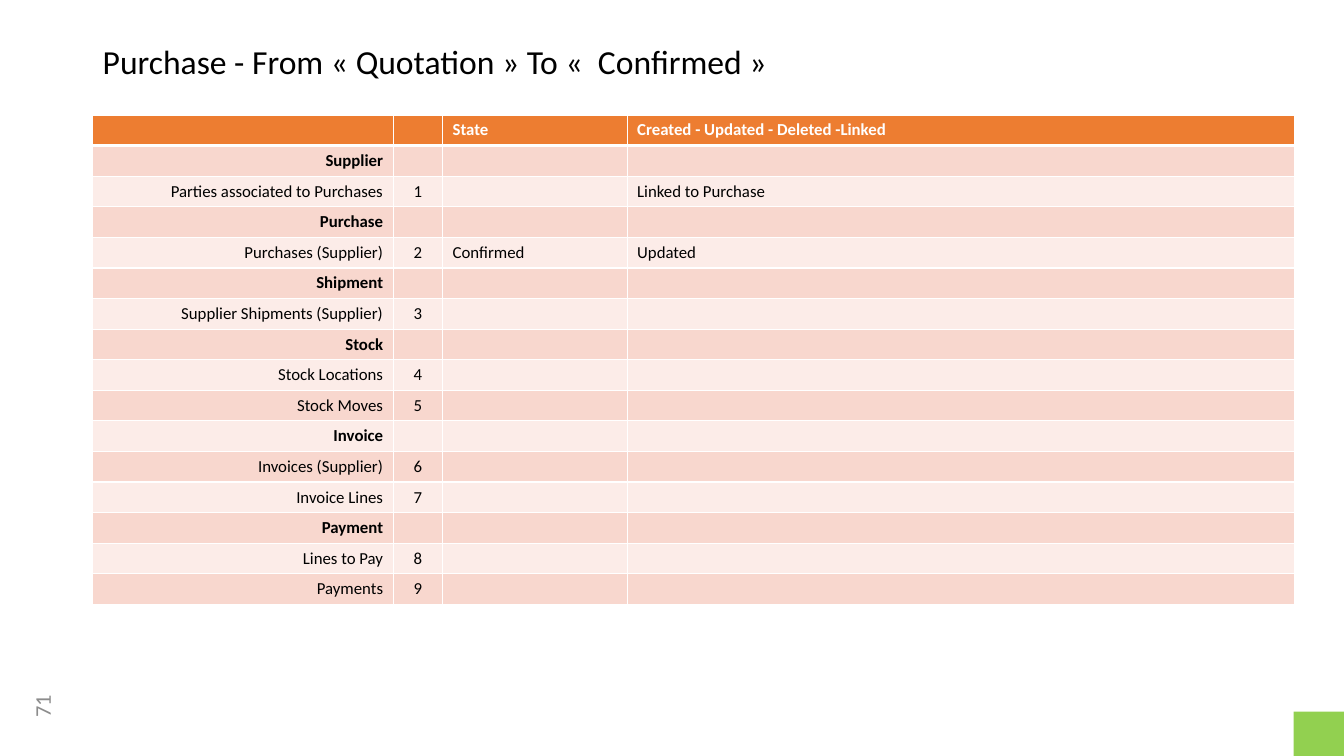
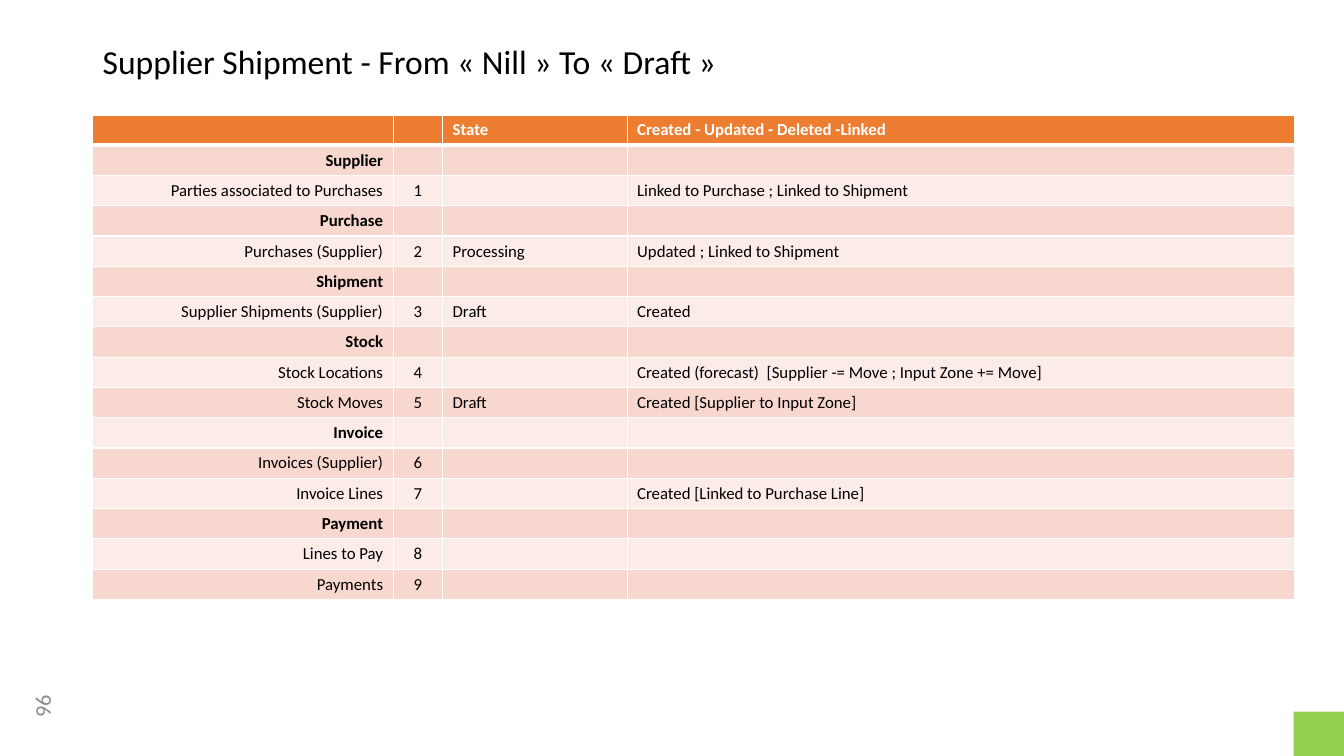
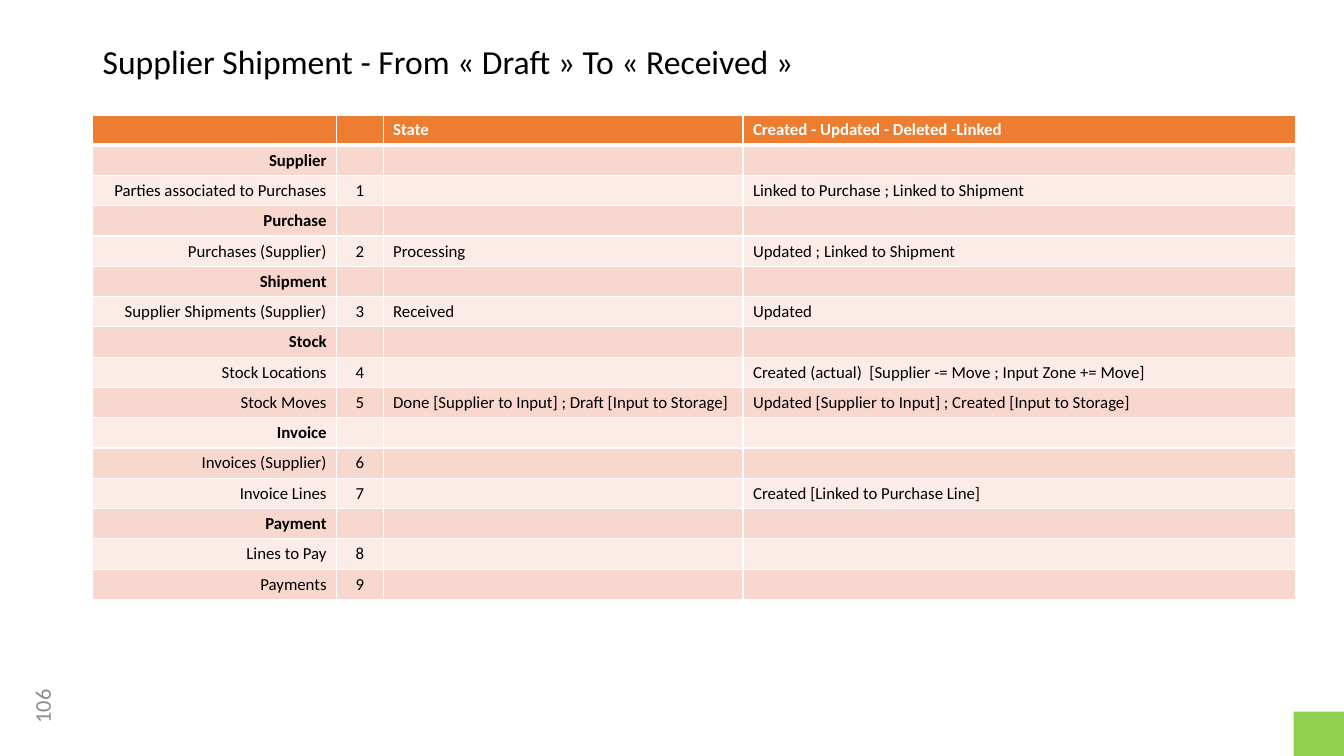
"""Build three slides that trace record states through the supplier flow."""
from dataclasses import dataclass

from lxml import etree
from pptx import Presentation
from pptx.dml.color import RGBColor
from pptx.enum.shapes import MSO_SHAPE
from pptx.enum.text import MSO_ANCHOR, PP_ALIGN
from pptx.oxml.ns import qn
from pptx.util import Inches, Pt

RECT = MSO_SHAPE.RECTANGLE
MIDDLE = MSO_ANCHOR.MIDDLE
LEFT, CENTER, RIGHT = PP_ALIGN.LEFT, PP_ALIGN.CENTER, PP_ALIGN.RIGHT

FONT = "Calibri"
BLACK, WHITE, GREY = "000000", "FFFFFF", "8C8C8C"
ORANGE, GREEN = "ED7D31", "92D050"
BANDS = ("F8D7CE", "FCECE8")
ROW = 0.3
SIZE = 12

HEAD = ("", "", "State", "Created - Updated - Deleted -Linked")
GROUPS = {
    "Supplier": ["Parties associated to Purchases"],
    "Purchase": ["Purchases (Supplier)"],
    "Shipment": ["Supplier Shipments (Supplier)"],
    "Stock": ["Stock Locations", "Stock Moves"],
    "Invoice": ["Invoices (Supplier)", "Invoice Lines"],
    "Payment": ["Lines to Pay", "Payments"],
}
WIDE = (2.98, 0.49, 1.83, 6.62)
EVEN = (2.42, 0.46, 3.57, 5.48)


@dataclass
class Step:
    title: str
    page: int
    widths: tuple[float, ...]
    notes: dict[int, tuple[str, str]]


STEPS = [
    Step("Purchase - From « Quotation » To «  Confirmed »", 71, WIDE, {
        1: ("", "Linked to Purchase"),
        2: ("Confirmed", "Updated"),
    }),
    Step("Supplier Shipment - From « Nill » To « Draft »", 96, WIDE, {
        1: ("", "Linked to Purchase ; Linked to Shipment"),
        2: ("Processing", "Updated ; Linked to Shipment"),
        3: ("Draft", "Created"),
        4: ("", "Created (forecast)  [Supplier -= Move ; Input Zone += Move]"),
        5: ("Draft", "Created [Supplier to Input Zone]"),
        7: ("", "Created [Linked to Purchase Line]"),
    }),
    Step("Supplier Shipment - From « Draft » To « Received »", 106, EVEN, {
        1: ("", "Linked to Purchase ; Linked to Shipment"),
        2: ("Processing", "Updated ; Linked to Shipment"),
        3: ("Received", "Updated"),
        4: ("", "Created (actual)  [Supplier -= Move ; Input Zone += Move]"),
        5: ("Done [Supplier to Input] ; Draft [Input to Storage]",
            "Updated [Supplier to Input] ; Created [Input to Storage]"),
        7: ("", "Created [Linked to Purchase Line]"),
    }),
]


def color(code: str) -> RGBColor:
    return RGBColor.from_string(code)


def write(para, text: str, size: int, ink: str, align=LEFT, bold: bool = False) -> None:
    para.text = text
    para.alignment = align
    font = para.font
    font.name, font.size, font.bold = FONT, Pt(size), bold
    font.color.rgb = color(ink)
    if not text:
        etree.SubElement(para._p, qn("a:endParaRPr"), sz=str(size * 100))


def border(cell, top: int, bottom: int) -> None:
    props = cell._tc.get_or_add_tcPr()
    sides = (("a:lnL", 1), ("a:lnR", 1), ("a:lnT", top), ("a:lnB", bottom))
    for spot, (tag, width) in enumerate(sides):
        line = etree.Element(qn(tag), w=str(Pt(width)))
        fill = etree.SubElement(line, qn("a:solidFill"))
        etree.SubElement(fill, qn("a:srgbClr"), val=WHITE)
        props.insert(spot, line)


def list_rows(step: Step) -> list[tuple[str, ...]]:
    rows = [HEAD]
    count = 0
    for group, items in GROUPS.items():
        rows.append((group, "", "", ""))
        for item in items:
            count += 1
            rows.append((item, str(count), *step.notes.get(count, ("", ""))))
    return rows


def add_grid(slide, step: Step) -> None:
    rows = list_rows(step)
    grid = slide.shapes.add_table(
        len(rows), len(HEAD), Inches(0.92), Inches(1.14),
        Inches(sum(step.widths)), Inches(ROW * len(rows))).table
    for col, width in zip(grid.columns, step.widths):
        col.width = Inches(width)
    for r, row in enumerate(rows):
        grid.rows[r].height = Inches(ROW)
        head = r == 0
        for c, text in enumerate(row):
            cell = grid.cell(r, c)
            cell.fill.solid()
            cell.fill.fore_color.rgb = color(ORANGE if head else BANDS[(r - 1) % 2])
            border(cell, 3 if r == 1 else 1, 3 if head else 1)
            write(cell.text_frame.paragraphs[0], text, SIZE,
                  WHITE if head else BLACK,
                  (RIGHT, CENTER, LEFT, LEFT)[c], head or row[0] in GROUPS)


def add_text(slide, left: float, top: float, width: float, height: float):
    box = slide.shapes.add_textbox(
        Inches(left), Inches(top), Inches(width), Inches(height))
    box.text_frame.word_wrap = True
    return box


def add_frame(slide, step: Step) -> None:
    page = add_text(slide, 0.04, 6.81, 0.75, 0.4)
    page.rotation = 270
    page.text_frame.vertical_anchor = MIDDLE
    write(page.text_frame.paragraphs[0], str(step.page), 16, GREY, CENTER)

    block = slide.shapes.add_shape(
        RECT, Inches(12.83), Inches(7.06), Inches(0.5), Inches(0.44))
    block.shadow.inherit = False
    block.fill.solid()
    block.fill.fore_color.rgb = color(GREEN)
    block.line.fill.background()

    title = add_text(slide, 0.92, 0.4, 11.5, 0.51)
    para = title.text_frame.paragraphs[0]
    para.line_spacing = 0.9
    write(para, step.title, 24, BLACK)


def main() -> None:
    deck = Presentation()
    deck.slide_width, deck.slide_height = Inches(13.33), Inches(7.5)
    for step in STEPS:
        slide = deck.slides.add_slide(deck.slide_layouts[6])
        add_grid(slide, step)
        add_frame(slide, step)
    deck.save("out.pptx")


if __name__ == "__main__":
    main()
